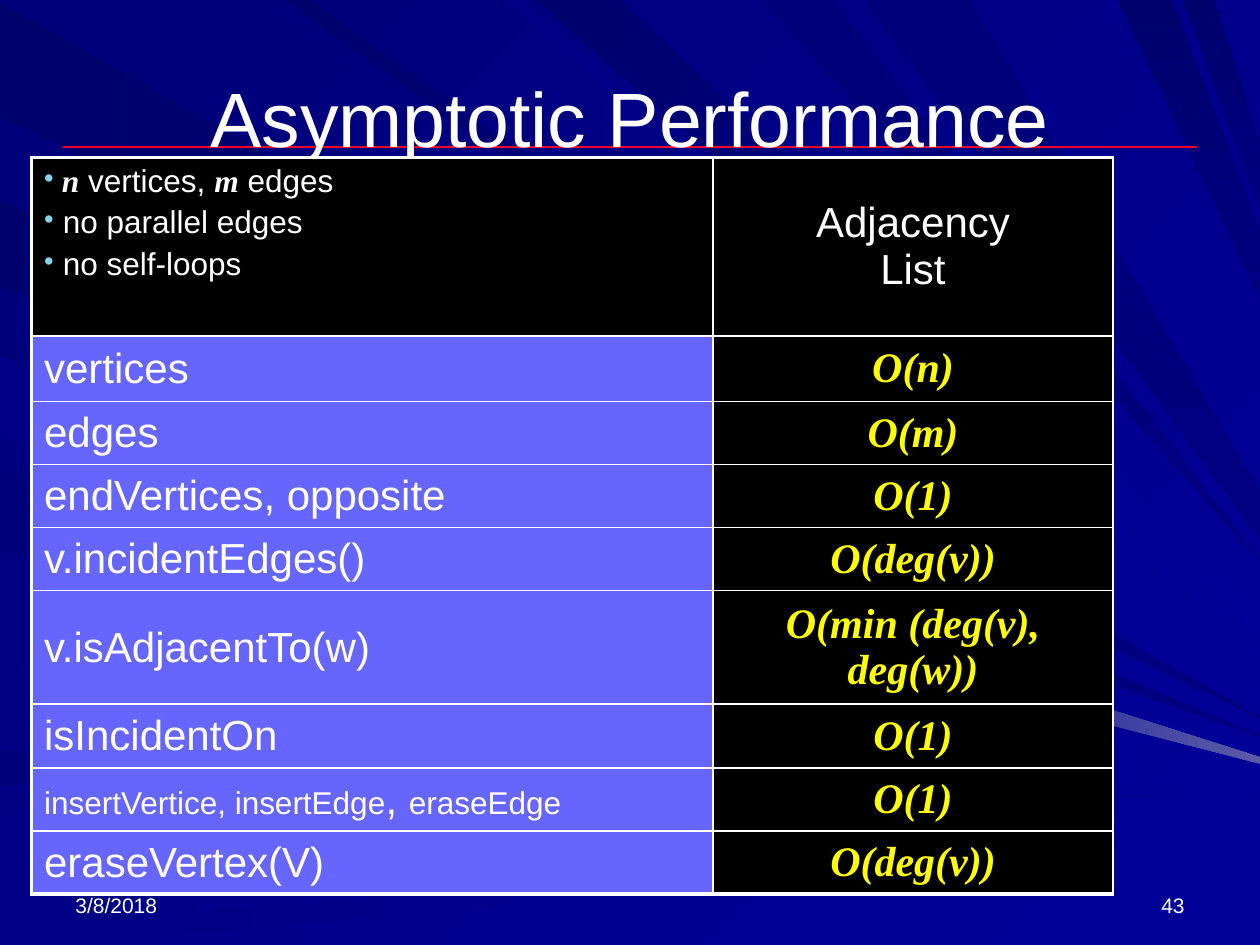
import pptx
import pptx.dml.color
import pptx.enum.shapes
import pptx.enum.text
import pptx.oxml.ns
import pptx.util
from lxml import etree

Pt = pptx.util.Pt
ALIGN = pptx.enum.text.PP_ALIGN
ANCHOR = pptx.enum.text.MSO_ANCHOR
qn = pptx.oxml.ns.qn

WHITE, BLACK, YELLOW, PERIWINKLE = "FFFFFF", "000000", "FFFF00", "6666FF"
DEEP, DARK, MIDDLE, DUSK, BLUE, PALE = "00006D", "000078", "000085", "000080", "000099", "5A5AA6"
SANS, SERIF = "Arial", "Times New Roman"

# Rays run from a span of the left or top edge to a span of the right edge,
# measured in hundredths of an inch
RAY_UNIT = Pt(0.72)
RIGHT_EDGE = 1000
LEFT_RAYS = [
    (DEEP, DUSK, (2, 93), (569, 570)),
    (DARK, BLUE, (596, 623), (631, 632)),
    (MIDDLE, BLUE, (647, 704), (643, 651)),
    (MIDDLE, BLUE, (735, 755), (661, 662)),
    (DEEP, DUSK, (159, 228), (584, 585)),
    (DARK, BLUE, (278, 342), (596, 602)),
    (DARK, BLUE, (374, 437), (605, 606)),
    (MIDDLE, BLUE, (283, 347), (601, 606)),
]
TOP_RAYS = [
    (DARK, BLUE, (26, 101), (562, 563)),
    (DEEP, BLUE, (225, 247), (547, 552)),
    (MIDDLE, BLUE, (398, 416), (515, 521)),
    (DEEP, BLUE, (426, 492), (479, 507)),
    (DARK, DUSK, (606, 661), (445, 446)),
    (DARK, DUSK, (686, 770), (390, 428)),
    (DEEP, DUSK, (887, 930), (183, 237)),
    (DEEP, DUSK, (939, 964), (114, 167)),
]
GLINT = [(637, 485), (RIGHT_EDGE, 601), (RIGHT_EDGE, 606), (633, 511)]

# Operation, its running time, row height
OPERATIONS = [
    ([("vertices", 24)], "O(n)", 37.5),
    ([("edges", 24)], "O(m)", 36),
    ([("endVertices, opposite", 24)], "O(1)", 34),
    ([("v.incidentEdges()", 24)], "O(deg(v))", 34),
    ([("v.isAdjacentTo(w)", 24)], "O(min (deg(v), deg(w))", 60),
    ([("isIncidentOn", 24)], "O(1)", 36.5),
    ([("insertVertice, insertEdge", 18), (", ", 24), ("eraseEdge", 18)], "O(1)", 36),
    ([("eraseVertex(V)", 24)], "O(deg(v))", 36),
]
HEADER_HEIGHT = 102

# Assumptions about the graph, as (text, is a variable) runs
ASSUMPTIONS = [
    [(" n", True), (" vertices, ", False), ("m", True), (" edges", False)],
    [(" no parallel edges", False)],
    [(" no self-loops", False)],
]


def rgb(value):
    return pptx.dml.color.RGBColor.from_string(value)


class SlideBuilder:
    """Holds the text style and the slide being filled."""

    def __init__(self, slide, font=SANS, color=WHITE):
        self.slide, self.font, self.color = slide, font, color

    def gradient(self, fill, start, end, angle):
        """Fill with two colours; the angle runs clockwise."""
        fill.gradient()
        fill.gradient_angle = (360 - angle) % 360
        for stop, color in zip(fill.gradient_stops, (start, end)):
            stop.color.rgb = rgb(color)

    def ray(self, start, end, angle, corners):
        builder = self.slide.shapes.build_freeform(*corners[0], scale=RAY_UNIT)
        builder.add_line_segments(corners[1:], close=True)
        shape = builder.convert_to_shape()
        shape.shadow.inherit = False
        shape.line.fill.background()
        self.gradient(shape.fill, start, end, angle)

    def rule(self, left, right, top, color, width):
        line = self.slide.shapes.add_connector(
            pptx.enum.shapes.MSO_CONNECTOR.STRAIGHT, Pt(left), Pt(top), Pt(right), Pt(top))
        line.line.color.rgb = rgb(color)
        line.line.width = Pt(width)
        etree.SubElement(line._element.spPr, qn("a:effectLst"))

    def run(self, paragraph, text, size, math=False, color=None):
        """Add one run; math is bold italic serif."""
        run = paragraph.add_run()
        run.text = text
        run.font.size = Pt(size)
        run.font.name = SERIF if math else self.font
        run.font.bold = run.font.italic = math
        run.font.color.rgb = rgb(color or self.color)

    def text(self, left, top, width, height, text, size, align, anchor):
        box = self.slide.shapes.add_textbox(Pt(left), Pt(top), Pt(width), Pt(height))
        frame = box.text_frame
        frame.word_wrap = True
        frame.vertical_anchor = anchor
        frame.paragraphs[0].alignment = align
        self.run(frame.paragraphs[0], text, size)

    def table(self, left, top, widths, heights):
        frame = self.slide.shapes.add_table(
            len(heights), len(widths), Pt(left), Pt(top), Pt(sum(widths)), Pt(sum(heights)))
        table = frame.table
        table.first_row = table.horz_banding = False
        for column, width in zip(table.columns, widths):
            column.width = Pt(width)
        for row, height in zip(table.rows, heights):
            row.height = Pt(height)
        last = len(heights) - 1
        for i, row in enumerate(table.rows):
            for j, cell in enumerate(row.cells):
                thick = {"L": j == 0, "R": False, "T": i == 0, "B": i == last}
                self.borders(cell, {side: 2.25 if on else 1 for side, on in thick.items()})
                cell.fill.solid()
                cell.fill.fore_color.rgb = rgb(PERIWINKLE if i and j == 0 else BLACK)
                cell.vertical_anchor = ANCHOR.MIDDLE if i or j else ANCHOR.TOP
                cell.text_frame.paragraphs[0].alignment = ALIGN.CENTER if j else ALIGN.LEFT
        return table

    def borders(self, cell, widths):
        properties = cell._tc.get_or_add_tcPr()
        for side, width in widths.items():
            line = etree.SubElement(properties, qn("a:ln" + side), w=str(Pt(width)))
            fill = etree.SubElement(line, qn("a:solidFill"))
            etree.SubElement(fill, qn("a:srgbClr"), val=self.color)

    def bullet(self, paragraph, color, percent):
        properties = paragraph._p.get_or_add_pPr()
        holder = etree.SubElement(properties, qn("a:buClr"))
        etree.SubElement(holder, qn("a:srgbClr"), val=color)
        etree.SubElement(properties, qn("a:buSzPct"), val=str(percent * 1000))
        etree.SubElement(properties, qn("a:buChar"), char="•")


def main():
    presentation = pptx.Presentation()
    presentation.slide_width, presentation.slide_height = Pt(720), Pt(540)
    slide = presentation.slides.add_slide(presentation.slide_layouts[6])
    builder = SlideBuilder(slide)

    builder.gradient(slide.background.fill, DARK, BLUE, 45)
    for start, end, (a, b), (c, d) in LEFT_RAYS:
        builder.ray(start, end, 0, [(0, a), (RIGHT_EDGE, c), (RIGHT_EDGE, d), (0, b)])
    for start, end, (a, b), (c, d) in TOP_RAYS:
        builder.ray(start, end, 45 if end == BLUE else 90,
                    [(a, 0), (b, 0), (RIGHT_EDGE, c), (RIGHT_EDGE, d)])
    builder.ray(BLUE, PALE, 0, GLINT)
    builder.rule(36, 684, 84, "EF0129", 0.75)

    builder.text(36, 492, 168, 36, "3/8/2018", 12, ALIGN.LEFT, ANCHOR.BOTTOM)
    builder.text(516, 492, 168, 36, "43", 12, ALIGN.RIGHT, ANCHOR.BOTTOM)
    builder.text(36, 21.6, 648, 90, "Asymptotic Performance", 44, ALIGN.CENTER, ANCHOR.MIDDLE)

    heights = [HEADER_HEIGHT] + [height for _, _, height in OPERATIONS]
    table = builder.table(18, 90, [389.5, 228.5], heights)

    frame = table.cell(0, 0).text_frame
    for i, runs in enumerate(ASSUMPTIONS):
        paragraph = frame.add_paragraph() if i else frame.paragraphs[0]
        if i:
            paragraph.space_before = Pt(3.6)
        builder.bullet(paragraph, "86D1EC", 90)
        for text, is_variable in runs:
            builder.run(paragraph, text, 18, is_variable)

    heading = table.cell(0, 1).text_frame.paragraphs[0]
    builder.run(heading, "Adjacency", 24)
    heading.add_line_break()
    builder.run(heading, "List", 24)

    for i, (names, running_time, _) in enumerate(OPERATIONS, start=1):
        for text, size in names:
            builder.run(table.cell(i, 0).text_frame.paragraphs[0], text, size)
        builder.run(table.cell(i, 1).text_frame.paragraphs[0], running_time, 24, True, YELLOW)

    presentation.save("out.pptx")


if __name__ == "__main__":
    main()
